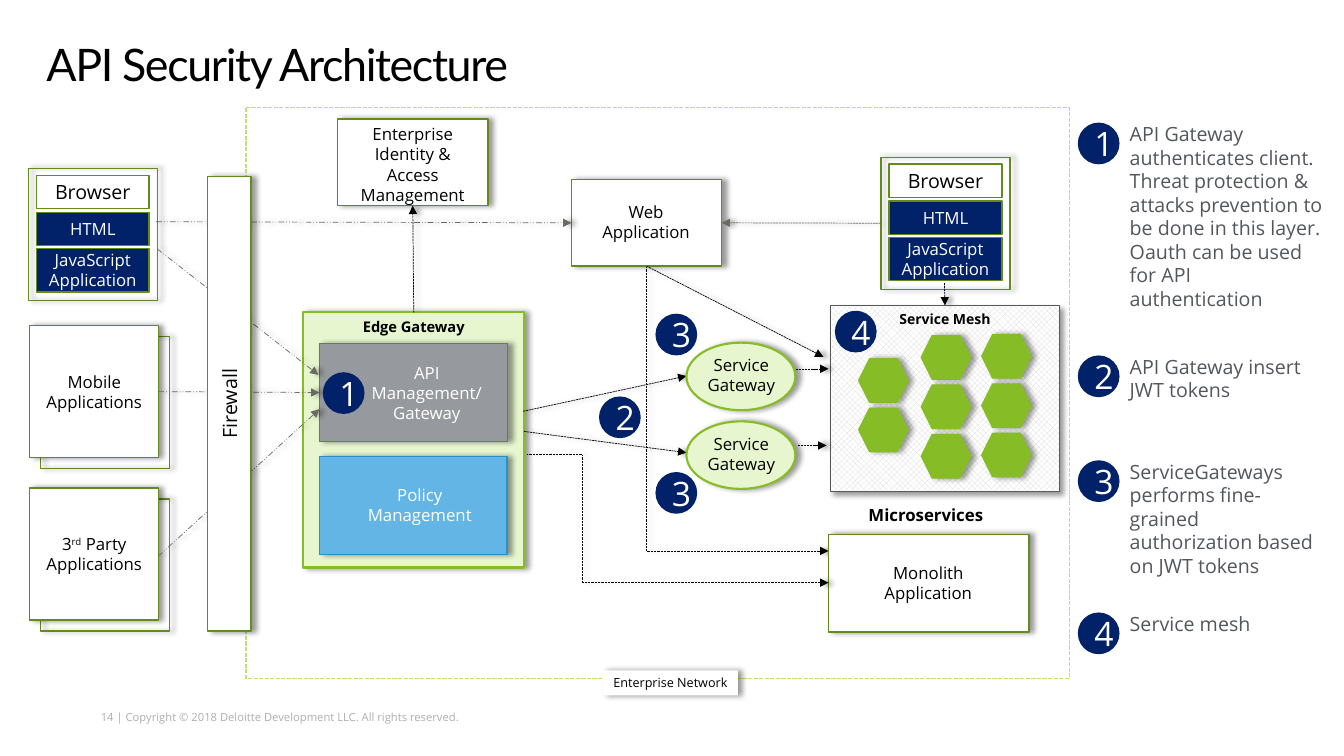
from lxml import etree
from pptx import Presentation
from pptx import util as u
from pptx.dml.color import RGBColor
from pptx.enum import dml, shapes, text
from pptx.oxml.ns import qn

BLACK = RGBColor(0x00, 0x00, 0x00)
WHITE = RGBColor(0xFF, 0xFF, 0xFF)
NAVY = RGBColor(0x01, 0x21, 0x69)
GREEN = RGBColor(0x86, 0xBC, 0x25)
DARK_GREEN = RGBColor(0x63, 0x8B, 0x1B)
LIGHT_GREEN = RGBColor(0xBA, 0xE3, 0x70)
PALE_GREEN = RGBColor(0xE8, 0xF6, 0xCF)
BLUE = RGBColor(0x62, 0xB5, 0xE5)
DARK_BLUE = RGBColor(0x23, 0x92, 0xD2)
GREY = RGBColor(0x96, 0x99, 0x9E)
ARROW_GREY = RGBColor(0x6A, 0x6A, 0x65)
MESH_LINE = RGBColor(0x59, 0x59, 0x59)
MESH_DOTS = RGBColor(0xD9, 0xD9, 0xD9)
TEXT_GREY = RGBColor(0x53, 0x56, 0x5A)
FOOTER_GREY = RGBColor(0xAC, 0xAE, 0xB0)

KIND = shapes.MSO_SHAPE
DASH = dml.MSO_LINE
CENTER, LEFT = text.PP_ALIGN.CENTER, text.PP_ALIGN.LEFT
TOP, MIDDLE = text.MSO_ANCHOR.TOP, text.MSO_ANCHOR.MIDDLE
BOX_TOP, BOX_LEFT, BOX_BOTTOM, BOX_RIGHT = range(4)


def write(frame, words, size=12, color=BLACK, bold=False, font="Open Sans",
          align=CENTER, anchor=MIDDLE, wrap=True, margins=(7.2, 3.6, 7.2, 3.6),
          line_spacing=None, tracking=None):
    """Fill a text frame; newlines split paragraphs, ^marks^ raise text."""
    frame.auto_size = text.MSO_AUTO_SIZE.NONE
    frame.word_wrap = wrap
    frame.vertical_anchor = anchor
    (frame.margin_left, frame.margin_top,
     frame.margin_right, frame.margin_bottom) = map(u.Pt, margins)
    for number, line in enumerate(words.split("\n")):
        para = frame.add_paragraph() if number else frame.paragraphs[0]
        para.alignment = align
        para.line_spacing = line_spacing
        for index, piece in enumerate(line.split("^")):
            span = para.add_run()
            span.text = piece
            span.font.size = u.Pt(size)
            span.font.name = font
            span.font.bold = bold
            span.font.color.rgb = color
            if index % 2:
                span._r.get_or_add_rPr().set("baseline", "30000")
            if tracking is not None:
                span._r.get_or_add_rPr().set("spc", str(tracking * 100))


def cast_shadow(effects, angle=0):
    shadow = etree.SubElement(effects, qn("a:outerShdw"), blurRad=str(u.Pt(4)),
                              dist=str(u.Pt(3)), dir=str(angle * 60000))
    color = etree.SubElement(shadow, qn("a:srgbClr"), val=str(BLACK))
    etree.SubElement(color, qn("a:alpha"), val="40000")


class Diagram:
    def __init__(self, page):
        self.page = page

    def title(self, words, x, y, w, h, **style):
        box = self.page.shapes.title
        box.left, box.top, box.width, box.height = map(u.Pt, (x, y, w, h))
        write(box.text_frame, words, **style)

    def label(self, words, x, y, w, h, **style):
        box = self.page.shapes.add_textbox(*map(u.Pt, (x, y, w, h)))
        write(box.text_frame, words, **style)

    def box(self, x, y, w, h, fill=None, line=DARK_GREEN, width=1, kind=KIND.RECTANGLE,
            shadow=True, angle=0, words=None, **style):
        box = self.page.shapes.add_shape(kind, *map(u.Pt, (x, y, w, h)))
        if fill is None:
            box.fill.background()
        else:
            box.fill.solid()
            box.fill.fore_color.rgb = fill
        if line is None:
            box.line.fill.background()
        else:
            box.line.color.rgb = line
            box.line.width = u.Pt(width)
        box.shadow.inherit = False
        if shadow:
            cast_shadow(box._element.spPr.find(qn("a:effectLst")), angle)
        if words:
            write(box.text_frame, words, **style)
        return box

    def arrow(self, start, end, color=BLACK, dash=DASH.SQUARE_DOT, bend=None):
        """Join two ends, each a point or a (box, side) pair; bend makes an elbow."""
        tied = [hasattr(first, "shape_id") for first, _ in (start, end)]
        points = [(0, 0) if tie else point for tie, point in zip(tied, (start, end))]
        kind = shapes.MSO_CONNECTOR.STRAIGHT if bend is None else shapes.MSO_CONNECTOR.ELBOW
        arrow = self.page.shapes.add_connector(kind, *map(u.Pt, points[0] + points[1]))
        if tied[0]:
            arrow.begin_connect(*start)
        if tied[1]:
            arrow.end_connect(*end)
        arrow.line.color.rgb = color
        arrow.line.width = u.Pt(0.5)
        arrow.line.dash_style = dash
        properties = arrow._element.spPr
        etree.SubElement(properties.find(qn("a:ln")), qn("a:tailEnd"), type="triangle")
        cast_shadow(etree.SubElement(properties, qn("a:effectLst")))
        if bend is not None:
            guides = properties.find(qn("a:prstGeom")).find(qn("a:avLst"))
            etree.SubElement(guides, qn("a:gd"), name="adj1", fmla=f"val {bend}")

    def browser(self, x, y):
        frame = self.box(x, y, 92.2, 94.3)
        for words, drop, height, fill, color, size in (
                ("Browser", 5, 23.8, None, BLACK, 14),
                ("HTML", 31.4, 23.8, NAVY, WHITE, 12),
                ("JavaScript\nApplication", 57.3, 31, NAVY, WHITE, 12)):
            self.box(x + 5.8, y + drop, 80.6, height, fill, shadow=False,
                     words=words, size=size, color=color)
        return frame

    def client(self, words, x, y):
        self.box(x + 7.9, y + 7.9, 92.2, 94.3)
        front = self.box(x, y, 92.2, 94.3, WHITE)
        self.label(words, x - 0.7, y + 36.7, 94.3, 20.9)
        return front

    def service_gateway(self, x, y):
        self.box(x, y, 77.8, 48.2, PALE_GREEN, GREEN, 1.5, KIND.FLOWCHART_CONNECTOR)
        self.label("Service\nGateway", x - 3.6, y + 10, 85.7, 25.9)

    def badge(self, number, x, y):
        self.box(x, y, 28.8, 28.8, NAVY, NAVY, kind=KIND.OVAL, shadow=False,
                 words=str(number), size=24, color=WHITE)


def main():
    deck = Presentation()
    deck.slide_width, deck.slide_height = u.Pt(960), u.Pt(540)
    diagram = Diagram(deck.slides.add_slide(deck.slide_layouts[5]))

    diagram.title("API Security Architecture", 33.1, 30.2, 880, 46.8, size=32, font="Lato",
                  align=LEFT, anchor=TOP, margins=(0, 3.6, 0, 0), line_spacing=0.8, tracking=-1)
    diagram.label("14 | Copyright © 2018 Deloitte Development LLC. All rights reserved.",
                  72, 507.6, 263.5, 9.4, size=8, color=FOOTER_GREY, align=LEFT,
                  anchor=TOP, wrap=False, margins=(0, 0, 0, 0))

    edge = diagram.box(216.7, 223.2, 157.7, 182.2, PALE_GREEN, GREEN, 1.5,
                       words="Edge Gateway", size=10.5, bold=True, anchor=TOP,
                       margins=(0, 3.6, 0, 3.6))
    api = diagram.box(228.2, 245.5, 134.6, 69.8, GREY)
    mesh = diagram.box(593.3, 218.2, 163.4, 133.2, WHITE, MESH_LINE, 0, angle=45,
                       words="Service Mesh", size=10, bold=True, anchor=TOP)
    mesh.fill.patterned()
    mesh.fill.pattern = dml.MSO_PATTERN.from_xml("openDmnd")
    mesh.fill.fore_color.rgb = MESH_DOTS
    mesh.fill.back_color.rgb = WHITE

    network = diagram.box(175.7, 77, 588.2, 407.5, line=LIGHT_GREEN,
                          kind=KIND.FLOWCHART_PROCESS, shadow=False)
    network.line.dash_style = DASH.SQUARE_DOT
    diagram.box(430.6, 478.8, 96.5, 18, WHITE, None, words="Enterprise Network",
                size=9, anchor=TOP, wrap=False)

    diagram.browser(20.2, 120.2)
    mobile = diagram.client("Mobile Applications", 20.9, 232.6)
    diagram.client("3^rd^ Party Applications", 20.9, 348.5)
    diagram.label("API Management/Gateway", 257, 262.8, 95.8, 35.3, color=WHITE)
    diagram.box(228.2, 326.2, 133.9, 69.8, BLUE, DARK_BLUE)
    diagram.label("Policy Management", 254.2, 345.6, 91.4, 30.2, color=WHITE)
    diagram.arrow((461.5, 190.8), (591.8, 393.5), dash=DASH.ROUND_DOT, bend=0)
    web = diagram.box(408.2, 128.2, 107.3, 61.9, WHITE)
    diagram.label("Web Application", 421.2, 140.4, 80.6, 36)
    diagram.label("Microservices", 610.6, 352.1, 101.5, 31, bold=True)
    diagram.box(591.8, 381.6, 143.3, 69.8, WHITE)
    diagram.label("Monolith Application", 622.8, 398.2, 80.6, 36)
    admin_browser = diagram.browser(629.3, 112.3)
    identity = diagram.box(241.2, 85, 107.3, 61.9, WHITE)
    diagram.label("Enterprise Identity & Access Management", 241.2, 97.2, 107.3, 40.3)

    for x, top, count in ((613.4, 256.3, 2), (658.1, 239.8, 3), (701.3, 239, 3)):
        for row in range(count):
            diagram.box(x, top + 35.3 * row, 35.3, 31, GREEN, GREEN, kind=KIND.HEXAGON)

    for start, end in (((112.3, 177.8), (227.5, 267.8)),
                       ((mobile, BOX_RIGHT), (api, BOX_LEFT)),
                       ((113, 397.4), (228.2, 292.3)),
                       ((111.6, 158.4), (web, BOX_LEFT))):
        diagram.arrow(start, end, ARROW_GREY, DASH.DASH_DOT_DOT)
    diagram.arrow((admin_browser, BOX_LEFT), (web, BOX_RIGHT), ARROW_GREY)
    for start, end in (((373.7, 293.8), (490.3, 268.6)),
                       ((374.4, 308.2), (490.3, 323.3)),
                       ((web, BOX_BOTTOM), (588.2, 254.9)),
                       ((674.6, 202.3), (mesh, BOX_TOP)),
                       ((568.8, 263.5), (591.8, 263.5)),
                       ((570.2, 318.2), (590.4, 318.2)),
                       ((edge, BOX_TOP), (identity, BOX_BOTTOM))):
        diagram.arrow(start, end)
    diagram.arrow((376.6, 324.7), (591.8, 416.2), dash=DASH.ROUND_DOT, bend=18300)

    firewall = diagram.box(1.4, 272.9, 324.7, 31, WHITE, words="Firewall", size=14)
    firewall.rotation = 270
    for y in (244.8, 301):
        diagram.service_gateway(490.3, y)

    legend = (
        ("API Gateway authenticates client. Threat protection & attacks prevention to be "
         "done in this layer. Oauth can be used for API authentication", 83.5, 142.6),
        ("API Gateway insert JWT tokens", 249.8, 50.4),
        ("ServiceGateways performs fine-grained authorization based on JWT tokens", 324.7, 85),
        ("Service mesh", 433.4, 31.7))
    for number, (words, y, height) in enumerate(legend, 1):
        diagram.badge(number, 770.4, y + 4.6)
        diagram.label(words, 799.9, y, 152, height, size=14, color=TEXT_GREY,
                      align=LEFT, anchor=TOP)
    for number, x, y in ((4, 596.9, 222.5), (3, 468.7, 337.7), (3, 468.7, 224.6),
                         (2, 428.4, 283.7), (1, 231.1, 266.4)):
        diagram.badge(number, x, y)

    deck.save("out.pptx")


if __name__ == "__main__":
    main()
